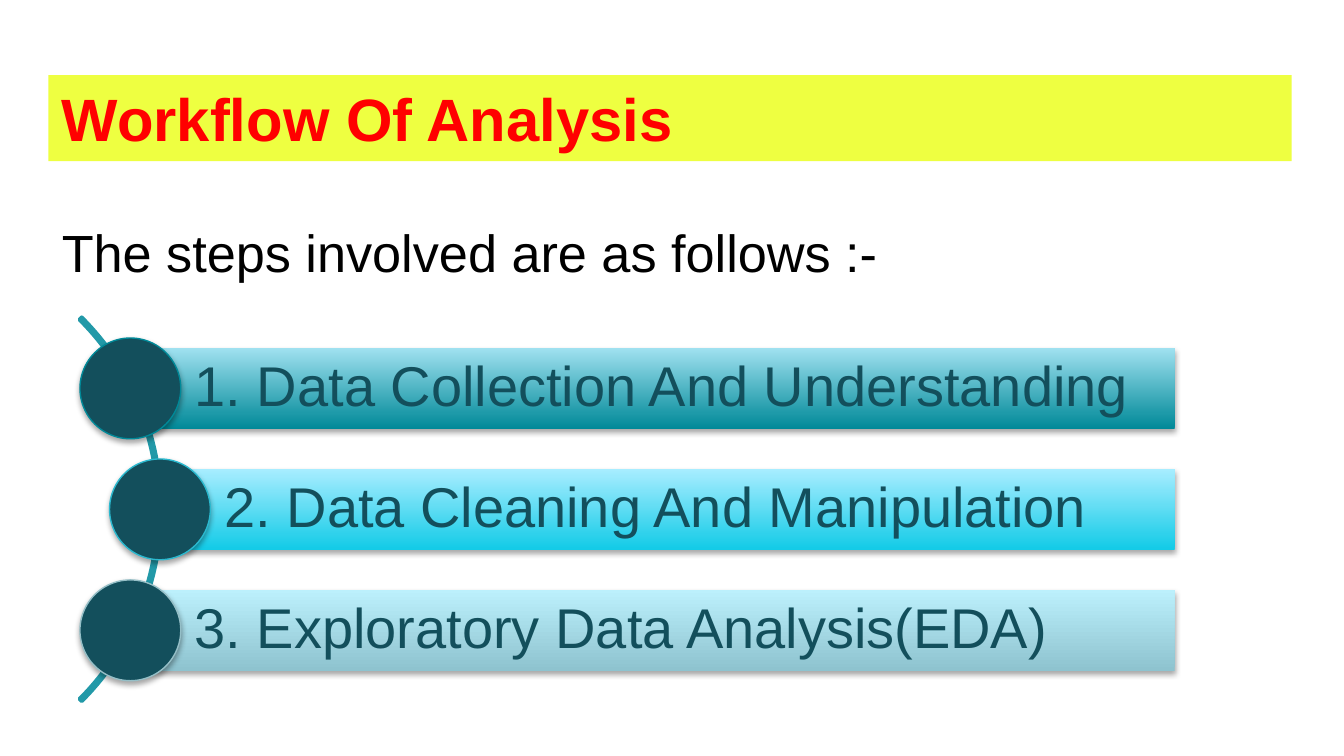
from lxml.etree import SubElement
from pptx import Presentation
from pptx.dml.color import RGBColor
from pptx.enum.shapes import MSO_SHAPE
from pptx.enum.text import MSO_ANCHOR, MSO_AUTO_SIZE, PP_ALIGN
from pptx.oxml.ns import qn
from pptx.util import Inches, Pt

DARK = "134F5C"
STEPS = [
    ("1. Data Collection And Understanding", 0, "008998", "A0E1F0", "008998"),
    ("2. Data Cleaning And Manipulation", 0.22, "13CBE7", "A8EDFF", "2BB9CF"),
    ("3. Exploratory Data Analysis(EDA)", 0, "8EC3CF", "BCF0FC", "95BFC7"),
]
BAR_LEFT, BAR_RIGHT, BAR_HEIGHT = 0.97, 8.74, 0.6
FIRST_MIDDLE, PITCH, DOT = 2.89, 0.9, 0.75


def rgb(value):
    return RGBColor.from_string(value)


def box(left, top, width, height):
    return [Inches(v) for v in (left, top, width, height)]


def set_text(shape, text, size, color, bold=False, insets=(0.1, 0.05, 0.1, 0.05),
             anchor=MSO_ANCHOR.TOP):
    tf = shape.text_frame
    frame = {"word_wrap": True, "auto_size": MSO_AUTO_SIZE.NONE,
             "vertical_anchor": anchor}
    sides = ("margin_left", "margin_top", "margin_right", "margin_bottom")
    frame.update(zip(sides, map(Inches, insets)))
    for name, value in frame.items():
        setattr(tf, name, value)
    p = tf.paragraphs[0]
    for name, value in {"alignment": PP_ALIGN.LEFT, "space_before": Pt(0)}.items():
        setattr(p, name, value)
    r = p.add_run()
    r.text = text
    for name, value in {"name": "Arial", "size": Pt(size), "bold": bold}.items():
        setattr(r.font, name, value)
    r.font.color.rgb = rgb(color)
    return p


def fill_placeholder(ph, place, *text_args, **text_format):
    ph.left, ph.top, ph.width, ph.height = box(*place)
    return set_text(ph, *text_args, **text_format)


def remove_bullet(p):
    pPr = p._p.get_or_add_pPr()
    pPr.set("marL", "0")
    pPr.set("indent", "0")
    SubElement(pPr, qn("a:buNone"))


def add_shape(s, kind, place):
    sp = s.shapes.add_shape(kind, *box(*place))
    sp.shadow.inherit = False
    return sp


def add_shadow(sp):
    effects = sp._element.spPr.find(qn("a:effectLst"))
    shadow = SubElement(effects, qn("a:outerShdw"), blurRad=str(Pt(3.1)),
                        dist=str(Pt(1.8)), dir="5400000", rotWithShape="0")
    color = SubElement(shadow, qn("a:srgbClr"), val="000000")
    SubElement(color, qn("a:alpha"), val="35000")


def set_line(sp, color, width):
    sp.line.color.rgb = rgb(color)
    sp.line.width = Pt(width)


def add_arc(s):
    arc = add_shape(s, MSO_SHAPE.BLOCK_ARC, (-2.84, 1.77, 4.04, 4.04))
    for i, value in enumerate((189, 27, 0.006)):
        arc.adjustments[i] = value
    arc.fill.background()
    set_line(arc, "2299A8", 2)


def add_bar(s, left, middle, text, low, high):
    bar = add_shape(s, MSO_SHAPE.RECTANGLE,
                    (left, middle - BAR_HEIGHT / 2, BAR_RIGHT - left, BAR_HEIGHT))
    bar.fill.gradient()
    bar.fill.gradient_angle = 90
    for stop, color in zip(bar.fill.gradient_stops, (low, high)):
        stop.color.rgb = rgb(color)
    bar.line.fill.background()
    add_shadow(bar)
    p = set_text(bar, text, 30, DARK, insets=(0.48, 0.08, 0.08, 0.08),
                 anchor=MSO_ANCHOR.MIDDLE)
    p.line_spacing = 0.9


def add_dot(s, center, middle, outline):
    dot = add_shape(s, MSO_SHAPE.OVAL,
                    (center - DOT / 2, middle - DOT / 2, DOT, DOT))
    dot.fill.solid()
    dot.fill.fore_color.rgb = rgb(DARK)
    set_line(dot, outline, 0.75)
    add_shadow(dot)


def main():
    prs = Presentation()
    prs.slide_width = Inches(10)
    prs.slide_height = prs.slide_width * 9 // 16
    s = prs.slides.add_slide(prs.slide_layouts[1])
    title, body = s.placeholders
    fill_placeholder(title, (0.36, 0.56, 9.25, 0.64),
                     "Workflow Of Analysis", 32, "FF0000", bold=True)
    title.fill.solid()
    title.fill.fore_color.rgb = rgb("EEFF41")
    p = fill_placeholder(body, (0.36, 1.59, 9.25, 0.57),
                         "The steps involved are as follows :-", 28, "000000")
    remove_bullet(p)
    add_arc(s)
    for i, (text, shift, low, high, outline) in enumerate(STEPS):
        left, middle = BAR_LEFT + shift, FIRST_MIDDLE + i * PITCH
        add_bar(s, left, middle, text, low, high)
        add_dot(s, left, middle, outline)
    prs.save("out.pptx")


if __name__ == "__main__":
    main()
